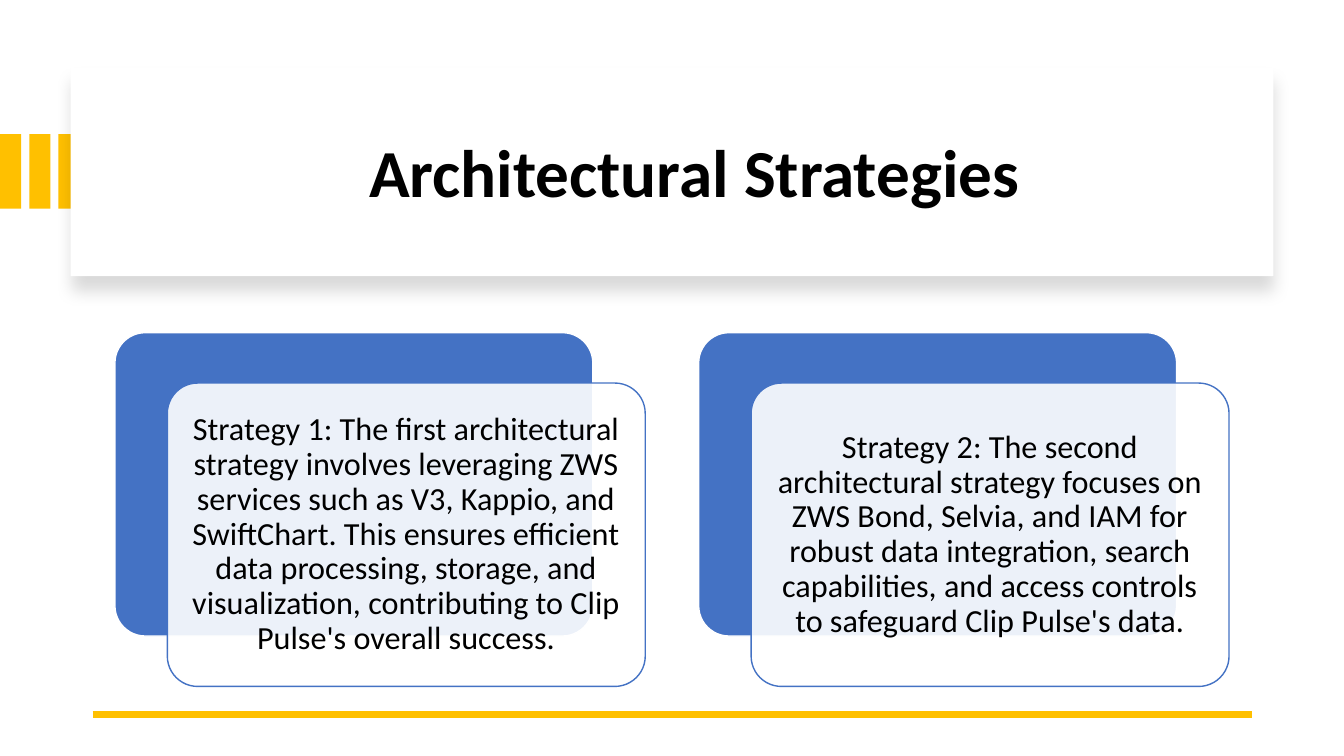
from lxml.etree import SubElement
from pptx import Presentation
from pptx.dml.color import RGBColor
from pptx.enum.shapes import MSO_CONNECTOR, MSO_SHAPE
from pptx.enum.text import MSO_ANCHOR, PP_ALIGN
from pptx.oxml.ns import qn
from pptx.util import Inches, Pt

COLORS = {"gold": "FFC000", "blue": "4472C4", "white": "FFFFFF", "black": "000000"}

STRATEGIES = [
    "Strategy 1: The first architectural strategy involves leveraging ZWS "
    "services such as V3, Kappio, and SwiftChart. This ensures efficient data "
    "processing, storage, and visualization, contributing to Clip Pulse's "
    "overall success.",
    "Strategy 2: The second architectural strategy focuses on ZWS Bond, Selvia, "
    "and IAM for robust data integration, search capabilities, and access "
    "controls to safeguard Clip Pulse's data.",
]


class StrategySlide:
    """Holds the style and the current slide."""

    font = "Calibri"

    def __init__(self, slide):
        self.slide = slide

    def color(self, name):
        return RGBColor.from_string(COLORS[name])

    def box(self, left, top, width, height, fill, line=None, rounded=False):
        kind = MSO_SHAPE.ROUNDED_RECTANGLE if rounded else MSO_SHAPE.RECTANGLE
        shape = self.slide.shapes.add_shape(
            kind, Inches(left), Inches(top), Inches(width), Inches(height))
        shape.shadow.inherit = False
        shape.fill.solid()
        shape.fill.fore_color.rgb = self.color(fill)
        if rounded:
            shape.adjustments[0] = 0.1
        if line:
            shape.line.color.rgb = self.color(line)
            shape.line.width = Pt(1)
        else:
            shape.line.fill.background()
        return shape

    def drop_shadow(self, shape):
        effects = shape._element.spPr.find(qn("a:effectLst"))
        shadow = SubElement(effects, qn("a:outerShdw"), blurRad=str(Pt(11)),
                            dist=str(Pt(10)), dir="5400000", algn="t", rotWithShape="0")
        tint = SubElement(shadow, qn("a:srgbClr"), val=COLORS["black"])
        SubElement(tint, qn("a:alpha"), val="15000")

    def fade(self, shape, percent):
        tint = shape._element.spPr.find(qn("a:solidFill"))[0]
        SubElement(tint, qn("a:alpha"), val=str(percent * 1000))

    def set_text(self, shape, text, size, align, bold=False):
        frame = shape.text_frame
        frame.text = text
        frame.word_wrap = True
        frame.vertical_anchor = MSO_ANCHOR.MIDDLE
        paragraph = frame.paragraphs[0]
        paragraph.alignment = align
        paragraph.line_spacing = 0.9
        font = paragraph.runs[0].font
        font.name, font.size, font.bold = self.font, Pt(size), bold
        font.color.rgb = self.color("black")

    def title(self, text):
        heading = self.slide.shapes.title
        # Bring the heading in front of its panel
        self.slide.shapes._spTree.append(heading._element)
        heading.left, heading.top = Inches(1.14), Inches(0.89)
        heading.width, heading.height = Inches(11.13), Inches(1.7)
        self.set_text(heading, text, 48, PP_ALIGN.LEFT, bold=True)
        heading.text_frame.margin_left = Inches(2.52)

    def rule(self, left, right, y):
        rule = self.slide.shapes.add_connector(
            MSO_CONNECTOR.STRAIGHT, Inches(left), Inches(y), Inches(right), Inches(y))
        rule.line.color.rgb = self.color("gold")
        rule.line.width = Pt(4.5)
        SubElement(rule._element.spPr, qn("a:effectLst"))

    def card(self, left, top, text):
        width, height = 4.74, 3.01
        self.box(left, top, width, height, "blue", "white", rounded=True)
        front = self.box(left + 0.52, top + 0.5, width, height, "white", "blue", rounded=True)
        self.fade(front, 90)
        self.set_text(front, text, 23, PP_ALIGN.CENTER)
        frame = front.text_frame
        frame.margin_left = frame.margin_right = Inches(0.1)
        frame.margin_top = frame.margin_bottom = Inches(0.1)


def main():
    deck = Presentation()
    deck.slide_width, deck.slide_height = Inches(13.33), Inches(7.5)
    page = StrategySlide(deck.slides.add_slide(deck.slide_layouts[5]))

    # Gold bars at the left edge
    for index in range(3):
        page.box(index * 0.29, 1.33, 0.21, 0.74, "gold")

    # Heading on its raised panel
    panel = page.box(0.7, 0.67, 11.93, 2.07, "white")
    page.drop_shadow(panel)
    page.title("Architectural Strategies")

    # Bottom rule
    page.rule(0.92, 12.42, 7.09)

    # Strategy cards
    for index, strategy in enumerate(STRATEGIES):
        page.card(1.14 + index * 5.79, 3.3, strategy)

    deck.save("out.pptx")


if __name__ == "__main__":
    main()
